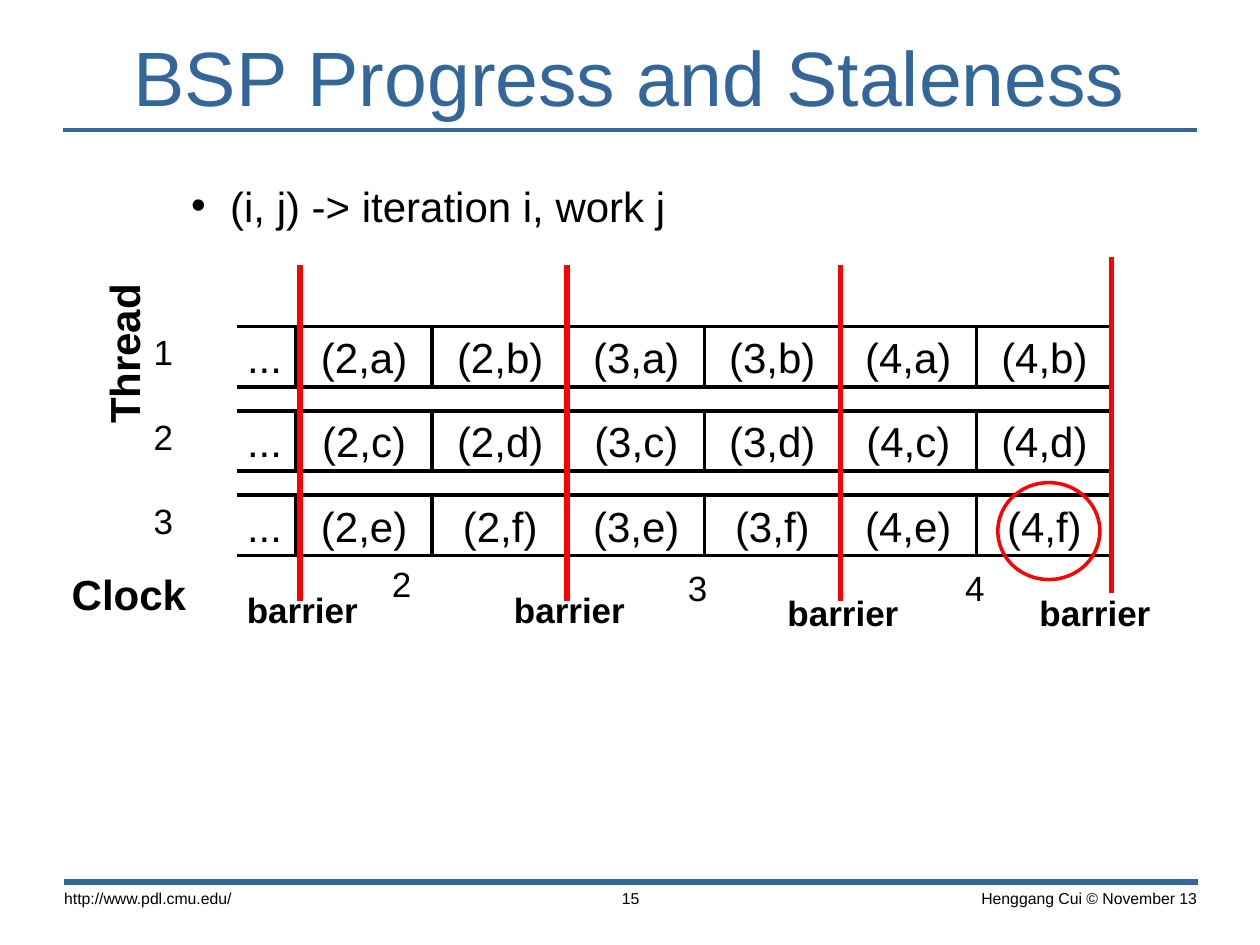
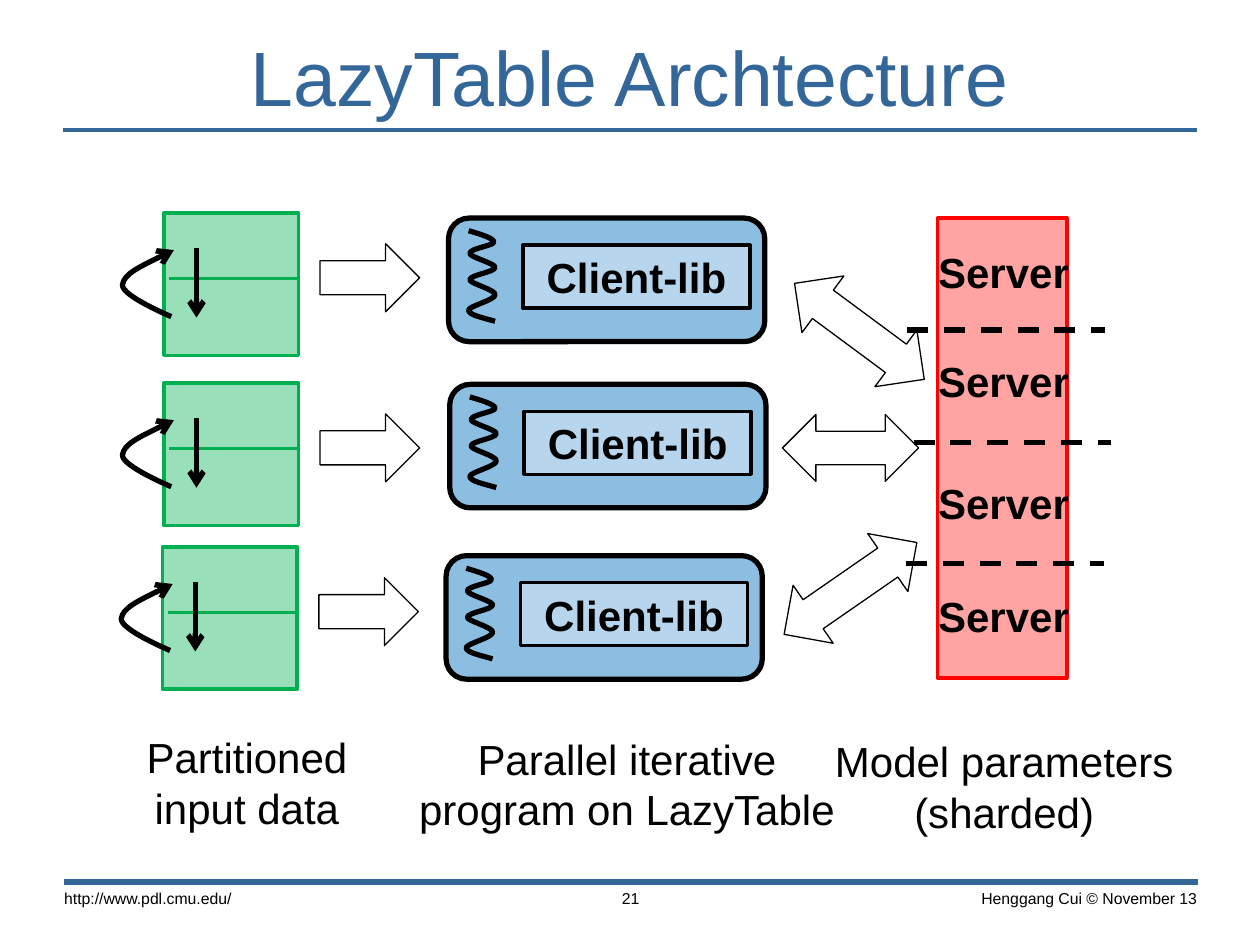
from lxml.etree import SubElement
from pptx import Presentation
from pptx.dml.color import RGBColor
from pptx.enum.dml import MSO_LINE
from pptx.enum.shapes import MSO_CONNECTOR, MSO_SHAPE
from pptx.enum.text import MSO_ANCHOR, PP_ALIGN
from pptx.oxml.ns import qn
from pptx.util import Pt

COLORS = {
    "title": "336699",
    "text": "000000",
    "paper": "FFFFFF",
    "red": "FF0000",
    "green": "00B050",
    "blue": "0070C0",
}
FONT = "Arial"
TIGHT = (5, 2.5)
NORMAL = (7.2, 3.6)
FOOTER = (7.9, 4.3)


def rgb(name):
    """Return the named colour."""
    return RGBColor.from_string(COLORS[name])


class Deck:
    """Holds the presentation, its style and the current slide."""

    def __init__(self):
        """Start an empty 10 by 7.5 inch presentation."""
        self.presentation = Presentation()
        self.presentation.slide_width = Pt(720)
        self.presentation.slide_height = Pt(540)
        self.slide = None

    def new_slide(self, title, number):
        """Add a slide with title, rules and footer."""
        layout = self.presentation.slide_layouts[6]
        self.slide = self.presentation.slides.add_slide(layout)
        self.line((36, 74.2), (684, 74.2), "title", 2)
        self.line((36.7, 504), (684.7, 504), "title", 3.5)
        self.text(title, (0, 16.5, 720, 54), 44, "title", align=PP_ALIGN.CENTER,
                  anchor=MSO_ANCHOR.MIDDLE)
        footers = [
            ("http://www.pdl.cmu.edu/", 28.8, 180, PP_ALIGN.LEFT),
            (number, 290.2, 140.4, PP_ALIGN.CENTER),
            ("Henggang Cui © November 13", 509, 182.9, PP_ALIGN.RIGHT),
        ]
        for words, left, width, align in footers:
            self.text(words, (left, 503.3, width, 20), 9, align=align, inset=FOOTER)

    def set_text(self, shape, words, size, color="text", bold=False,
                 align=PP_ALIGN.LEFT, anchor=MSO_ANCHOR.TOP, inset=NORMAL):
        """Put formatted text into a shape."""
        frame = shape.text_frame
        frame.text = words
        frame.word_wrap = True
        frame.vertical_anchor = anchor
        frame.margin_left = frame.margin_right = Pt(inset[0])
        frame.margin_top = frame.margin_bottom = Pt(inset[1])
        for paragraph in frame.paragraphs:
            paragraph.alignment = align
            for run in paragraph.runs:
                run.font.name = FONT
                run.font.size = Pt(size)
                run.font.bold = bold
                run.font.color.rgb = rgb(color)

    def text(self, words, box, size=24, color="text", **style):
        """Add a text box."""
        shape = self.slide.shapes.add_textbox(*map(Pt, box))
        self.set_text(shape, words, size, color, **style)
        return shape

    def bullet(self, words, box):
        """Add a text box with one indented bullet."""
        paragraph = self.text(words, box).text_frame.paragraphs[0]
        paragraph.space_before = Pt(4.8)
        properties = paragraph._p.get_or_add_pPr()
        properties.set("marL", str(Pt(58.3)))
        properties.set("indent", str(-Pt(22.3)))
        SubElement(properties, qn("a:buFont"), typeface=FONT)
        SubElement(properties, qn("a:buChar"), char="•")

    def shape(self, kind, box, fill=None, line=None, weight=2, opacity=100, rotation=0):
        """Add a preset shape; opacity is the fill's percentage."""
        shape = self.slide.shapes.add_shape(kind, *map(Pt, box))
        shape.shadow.inherit = False
        shape.rotation = rotation
        if fill:
            shape.fill.solid()
            shape.fill.fore_color.rgb = rgb(fill)
            if opacity < 100:
                color = shape._element.spPr.find(qn("a:solidFill"))[0]
                SubElement(color, qn("a:alpha"), val=str(opacity * 1000))
        else:
            shape.fill.background()
        if line:
            self.stroke(shape, line, weight)
        else:
            shape.line.fill.background()
        return shape

    def labelled(self, words, box, bold=False, inset=TIGHT, **look):
        """Add an outlined rectangle with a centred label."""
        shape = self.shape(MSO_SHAPE.RECTANGLE, box, line="text", **look)
        self.set_text(shape, words, 24, bold=bold, align=PP_ALIGN.CENTER,
                      anchor=MSO_ANCHOR.MIDDLE, inset=inset)

    def stroke(self, shape, color, weight, arrow=None):
        """Set a line; arrow is None, 'headEnd' or 'tailEnd'."""
        shape.line.color.rgb = rgb(color)
        shape.line.width = Pt(weight)
        if arrow:
            outline = shape._element.spPr.find(qn("a:ln"))
            SubElement(outline, qn("a:" + arrow), type="arrow")

    def line(self, start, end, color="text", weight=3, arrow=None, dashed=False):
        """Add a straight line."""
        connector = self.slide.shapes.add_connector(
            MSO_CONNECTOR.STRAIGHT, *map(Pt, start + end))
        if dashed:
            connector.line.dash_style = MSO_LINE.DASH
        self.stroke(connector, color, weight, arrow)
        SubElement(connector._element.spPr, qn("a:effectLst"))

    def curve(self, origin, points, arrow=None):
        """Add a cubic curve: a start point, then three points a segment."""
        placed = [(Pt(origin[0] + x), Pt(origin[1] + y)) for x, y in points]
        builder = self.slide.shapes.build_freeform(*placed[0])
        builder.add_line_segments(placed[1:], close=False)
        shape = builder.convert_to_shape()
        shape.shadow.inherit = False
        shape.fill.background()
        self.stroke(shape, "text", 3, arrow)
        outline = shape._element.spPr.find(".//" + qn("a:path"))
        steps = outline.findall(qn("a:lnTo"))
        for first in range(0, len(steps), 3):
            segment = SubElement(outline, qn("a:cubicBezTo"))
            for step in steps[first:first + 3]:
                segment.append(step[0])
                outline.remove(step)


def progress_slide(deck):
    """Draw the timeline of three threads between barriers."""
    deck.new_slide("BSP Progress and Staleness", "15")
    deck.bullet("(i, j) -> iteration i, work j", (66.2, 99.4, 612, 40))
    thread = deck.text("Thread", (51.1, 151.2, 38.9, 93.6), bold=True, inset=TIGHT)
    thread.text_frame._txBody.bodyPr.set("vert", "vert270")
    deck.text("Clock", (36, 322.6, 135.4, 33.8), bold=True, inset=TIGHT)

    cell_width, cell_height, row_step = 77.75, 34.6, 48.2
    for row, works in enumerate(("ab", "cd", "ef")):
        top = 186.5 + row * row_step
        deck.text(str(row + 1), (82.8, top, 26, 28.8), 20, inset=TIGHT)
        deck.labelled("...", (133.2, top, 36, cell_height))
        cells = [(iteration, work) for iteration in (2, 3, 4) for work in works]
        for column, (iteration, work) in enumerate(cells):
            left = 169.2 + column * cell_width
            deck.labelled(f"({iteration},{work})", (left, top, cell_width, cell_height),
                          fill="paper" if iteration > 2 else None)
    deck.shape(MSO_SHAPE.RECTANGLE, (128.2, 183.6, 7.2, 137.5), fill="paper")
    deck.shape(MSO_SHAPE.OVAL, (570.2, 275.8, 58.3, 55.4), line="red")

    for clock, left, top in (("2", 218.9, 319), ("3", 388.1, 321.1), ("4", 546.5, 321.1)):
        deck.text(clock, (left, top, 26, 28.8), 20, inset=TIGHT)
    barriers = [(171.4, 151.2, 136.1, 334.1), (324, 151.2, 288.7, 334.1),
                (480.2, 151.2, 445, 335.5), (635, 146.9, 589, 335.5)]
    for x, top, label_left, label_top in barriers:
        deck.line((x, top), (x, top + 192), "red")
        deck.text("barrier", (label_left, label_top, 86.4, 28.8), 20, bold=True,
                  inset=TIGHT)


def input_partition(deck, left, top):
    """Draw a data partition, its loop and the arrow to the client."""
    deck.shape(MSO_SHAPE.RIGHT_ARROW, (left + 89.3, top + 17.6, 56.9, 38.9),
               "paper", "text", 0.75)
    deck.shape(MSO_SHAPE.RECTANGLE, (left, top, 77, 81.4), "green", "green", opacity=40)
    deck.line((left + 2.9, top + 37.4), (left + 76.3, top + 37.4), "green", 1.5)
    deck.line((left + 18.7, top + 20.2), (left + 18.7, top + 59.8), arrow="tailEnd")
    loop = [(5.8, 21.2), (-8.6, 28.1), (-23, 35), (-23.6, 41.2),
            (-23.8, 47.5), (4.3, 59.2), (4.3, 59.2)]
    deck.curve((left, top), loop, "headEnd")


def client(deck, left, top):
    """Draw a client box with its worker thread and library."""
    deck.shape(MSO_SHAPE.ROUNDED_RECTANGLE, (left, top, 180.7, 70.6),
               "blue", "text", 3, opacity=45)
    thread = [(0, 0), (7.2, 2.2), (14.4, 4.3), (14.4, 6.5),
              (14.4, 8.6), (0.7, 10.1), (0.7, 13),
              (0.7, 15.1), (15.1, 18.7), (15.1, 20.9),
              (15.1, 23.8), (0.7, 25.2), (0.7, 28.1),
              (0.7, 30.2), (15.8, 33.8), (15.1, 36.7),
              (15.1, 39.6), (0, 43.2), (0, 45.4),
              (0, 48.2), (7.9, 49.7), (15.1, 51.8)]
    deck.curve((left + 11.5, top + 7.2), thread)
    deck.labelled("Client-lib", (left + 42.6, top + 15.5, 129.6, 36), bold=True,
                  inset=NORMAL, fill="paper", opacity=38)


def architecture_slide(deck):
    """Draw data partitions, clients and the sharded servers."""
    deck.new_slide("LazyTable Archtecture", "21")
    deck.shape(MSO_SHAPE.RECTANGLE, (535.7, 124.6, 74.2, 262.8), "red", "red", opacity=36)
    for left, top in ((256.3, 124.6), (257, 219.6), (254.9, 317.5)):
        client(deck, left, top)
    for left, top in ((92.9, 312.5), (93.6, 218.9), (93.6, 121.7)):
        input_partition(deck, left, top)

    exchanges = [((447.1, 236.9, 77.8, 38.2), 0),
                 ((445, 169.2, 92.2, 40.3), 36.5),
                 ((439.9, 316.1, 92.2, 40.3), 325.3)]
    for box, rotation in exchanges:
        deck.shape(MSO_SHAPE.LEFT_RIGHT_ARROW, box, "paper", "text", 0.75,
                   rotation=rotation)

    captions = [("Partitioned input data", 48.2, 414.7, 185.8),
                ("Parallel iterative program on LazyTable", 231.8, 415.4, 252.9),
                ("Model parameters\n(sharded)", 468.7, 416.9, 210.2)]
    for words, left, top, width in captions:
        deck.text(words, (left, top, width, 65.5), align=PP_ALIGN.CENTER)
    for left, y in ((518.4, 188.6), (522, 252.7), (517.7, 321.8)):
        deck.line((left, y), (left + 113, y), dashed=True)
    for top in (137.5, 199.4, 269.3, 334.1):
        deck.text("Server", (529, top, 99.4, 36), bold=True)


deck = Deck()
progress_slide(deck)
architecture_slide(deck)
deck.presentation.save("out.pptx")
